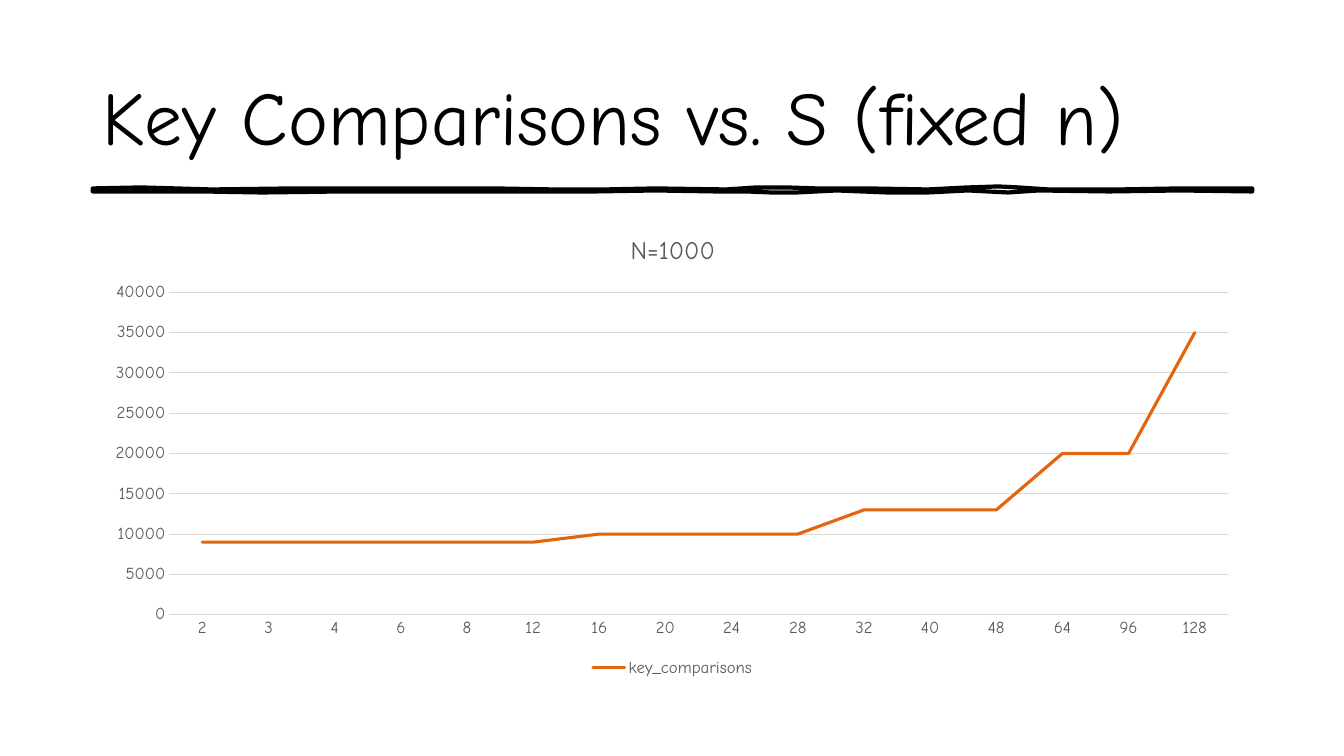
import pptx
import pptx.chart.data
import pptx.dml.color
import pptx.enum.chart
import pptx.enum.text
import pptx.oxml
import pptx.oxml.ns
import pptx.util

Inches, Pt = pptx.util.Inches, pptx.util.Pt
RGBColor = pptx.dml.color.RGBColor

# Content
TITLE = "Key Comparisons vs. S (fixed n)"
CHART_TITLE = "N=1000"
SERIES_NAME = "key_comparisons"
COMPARISONS = {
    "2": 9000, "3": 9000, "4": 9000, "6": 9000, "8": 9000, "12": 9000,
    "16": 10000, "20": 10000, "24": 10000, "28": 10000,
    "32": 13000, "40": 13000, "48": 13000,
    "64": 20000, "96": 20000, "128": 35000,
}

# Hand-drawn rule: (x, y) in hundredths of an inch along its two edges
RULE_TOP = [(92, 187), (140, 186), (210, 188), (290, 187), (340, 187),
            (410, 187), (490, 187), (550, 188), (600, 188), (650, 187),
            (720, 188), (750, 186), (780, 186), (810, 187), (860, 187),
            (920, 188), (960, 186), (990, 185), (1010, 186), (1040, 188),
            (1110, 188), (1170, 187), (1242, 187)]
RULE_BOTTOM = [(92, 190), (200, 190), (260, 191), (340, 190), (420, 190),
               (520, 190), (590, 190), (650, 189), (710, 190), (740, 190),
               (765, 191), (790, 191), (830, 189), (880, 191), (920, 191),
               (960, 189), (1000, 191), (1030, 189), (1100, 190),
               (1170, 189), (1242, 190)]

FONT = "Comic Neue"
BLACK = RGBColor(0x00, 0x00, 0x00)
GRAY = RGBColor(0x59, 0x59, 0x59)
LIGHT_GRAY = RGBColor(0xD9, 0xD9, 0xD9)
ORANGE = RGBColor(0xE4, 0x65, 0x0E)
LEFT, WIDTH = Inches(0.92), Inches(11.5)


def set_font(font, size, color):
    font.name, font.size, font.bold = FONT, Pt(size), False
    font.color.rgb = color


def set_line(line, color, width):
    line.color.rgb = color
    line.width = Pt(width)


def manual_layout(inner=False, **fractions):
    """Build a chart layout from fractions of the chart area."""
    target = '<c:layoutTarget val="inner"/>' if inner else ""
    modes = "".join(f'<c:{key}Mode val="edge"/>' for key in "xy")
    places = "".join(f'<c:{key} val="{value}"/>' for key, value in fractions.items())
    return pptx.oxml.parse_xml(
        f'<c:layout {pptx.oxml.ns.nsdecls("c")}><c:manualLayout>'
        f"{target}{modes}{places}</c:manualLayout></c:layout>")


def replace_layout(parent, layout, position):
    old = parent.find(pptx.oxml.ns.qn("c:layout"))
    if old is not None:
        parent.remove(old)
    parent.insert(position, layout)


presentation = pptx.Presentation()
presentation.slide_width, presentation.slide_height = Inches(13.33), Inches(7.5)
slide = presentation.slides.add_slide(presentation.slide_layouts[6])

# Hand-drawn rule under the title
outline = RULE_TOP + RULE_BOTTOM[::-1]
builder = slide.shapes.build_freeform(*outline[0], scale=Inches(0.01))
builder.add_line_segments(outline[1:], close=True)
rule = builder.convert_to_shape()
rule.shadow.inherit = False
rule.fill.background()
set_line(rule.line, BLACK, 3)

# Title
title = slide.shapes.add_textbox(LEFT, Inches(0.42), WIDTH, Inches(1.45))
title.text_frame.word_wrap = True
title.text_frame.vertical_anchor = pptx.enum.text.MSO_ANCHOR.MIDDLE
paragraph = title.text_frame.paragraphs[0]
paragraph.text = TITLE
set_font(paragraph.font, 54, BLACK)

# Line chart
data = pptx.chart.data.CategoryChartData()
data.categories = list(COMPARISONS)
data.add_series(SERIES_NAME, list(COMPARISONS.values()))
chart = slide.shapes.add_chart(
    pptx.enum.chart.XL_CHART_TYPE.LINE, LEFT, Inches(2.11), WIDTH, Inches(4.65), data).chart
set_font(chart.font, 12, GRAY)

chart.has_title = True
heading = chart.chart_title.text_frame.paragraphs[0]
heading.text = CHART_TITLE
set_font(heading.font, 18, GRAY)
replace_layout(chart.chart_title._element, manual_layout(x=0.46, y=0.035), 1)

plot = chart.plots[0]
plot.vary_by_categories = False
series = plot.series[0]
series.smooth = False
series.marker.style = pptx.enum.chart.XL_MARKER_STYLE.NONE
set_line(series.format.line, ORANGE, 2.25)
series.format.line._get_or_add_ln().set("cap", "rnd")
replace_layout(chart._chartSpace.chart.plotArea,
               manual_layout(inner=True, x=0.066, y=0.17, w=0.913, h=0.688), 0)

# Axes and legend
for axis in (chart.category_axis, chart.value_axis):
    axis.major_tick_mark = axis.minor_tick_mark = pptx.enum.chart.XL_TICK_MARK.NONE
    set_font(axis.tick_labels.font, 12, GRAY)
set_line(chart.category_axis.format.line, LIGHT_GRAY, 0.75)
value_axis = chart.value_axis
value_axis.format.line.fill.background()
value_axis.minimum_scale, value_axis.maximum_scale, value_axis.major_unit = 0, 40000, 5000
set_line(value_axis.major_gridlines.format.line, LIGHT_GRAY, 0.75)

chart.has_legend = True
chart.legend.position = pptx.enum.chart.XL_LEGEND_POSITION.BOTTOM
chart.legend.include_in_layout = False
set_font(chart.legend.font, 12, GRAY)

presentation.save("out.pptx")
